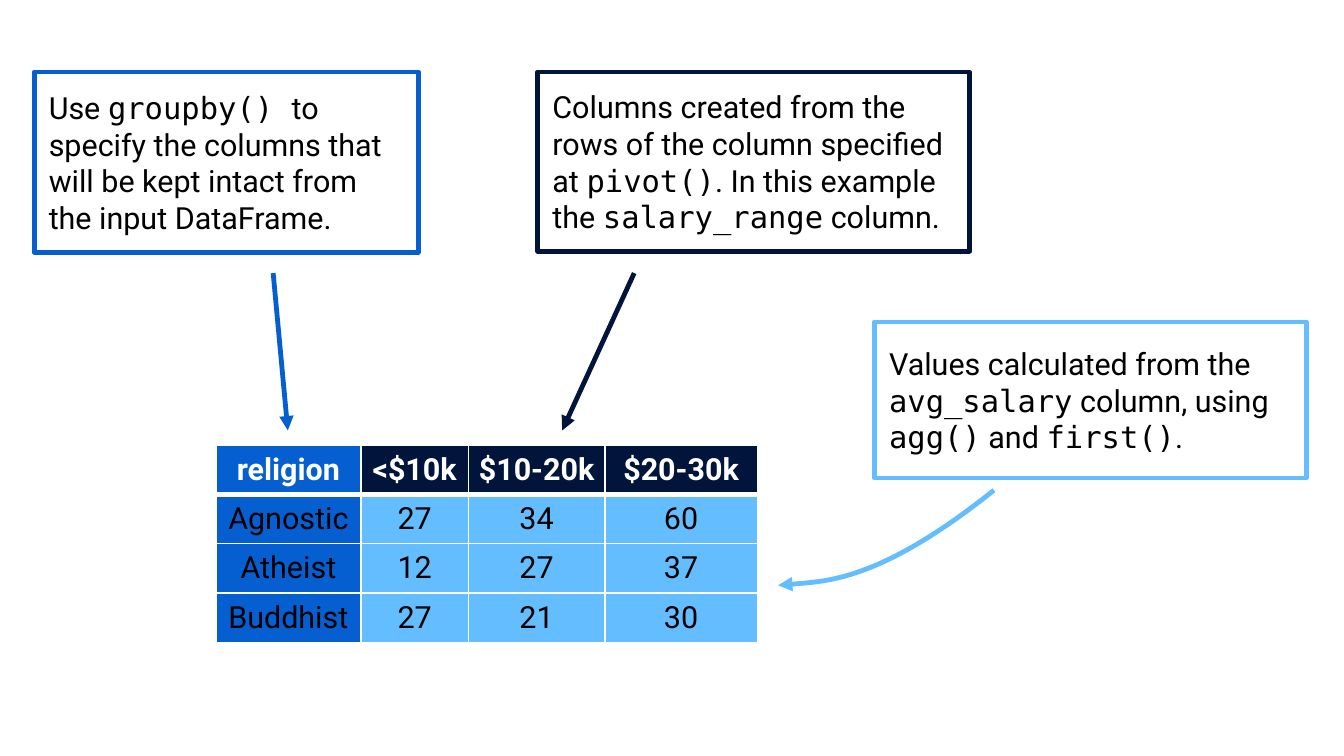
from lxml.etree import SubElement
from pptx import Presentation
from pptx.dml.color import RGBColor
from pptx.enum.shapes import MSO_CONNECTOR, MSO_SHAPE
from pptx.enum.text import MSO_ANCHOR, PP_ALIGN
from pptx.oxml.ns import qn
from pptx.util import Inches, Pt

BLUE, NAVY, SKY = "065FD0", "00143C", "64BDFE"
WHITE, BLACK = "FFFFFF", "000000"
SANS, MONO = "Roboto", "DejaVu Sans Mono"

ROWS = [
    ["religion", "<$10k", "$10-20k", "$20-30k"],
    ["Agnostic", "27", "34", "60"],
    ["Atheist", "12", "27", "37"],
    ["Buddhist", "27", "21", "30"],
]
COL_WIDTHS = [1.19, 0.88, 1.12, 1.25]

GROUPBY_NOTE = [
    ("Use ", SANS),
    ("groupby() ", MONO),
    ("to specify the columns that will be kept intact from the input DataFrame.", SANS),
]
PIVOT_NOTE = [
    ("Columns created from the rows of the column specified at ", SANS),
    ("pivot()", MONO),
    (". In this example the ", SANS),
    ("salary_range", MONO),
    (" column.", SANS),
]
AGG_NOTE = [
    ("Values calculated from the ", SANS),
    ("avg_salary", MONO),
    (" column, using ", SANS),
    ("agg()", MONO),
    (" and ", SANS),
    ("first()", MONO),
    (".", SANS),
]


def rgb(color):
    return RGBColor.from_string(color)


def style_line(sp, color):
    sp.line.color.rgb = rgb(color)
    sp.line.width = Pt(2.83)


def add_arrowhead(sp):
    ln = sp.element.spPr.find(qn("a:ln"))
    SubElement(ln, qn("a:tailEnd"), type="triangle")


def add_note(slide, box, runs, color):
    sp = slide.shapes.add_shape(MSO_SHAPE.RECTANGLE, *map(Inches, box))
    sp.shadow.inherit = False
    sp.fill.background()
    style_line(sp, color)
    tf = sp.text_frame
    tf.word_wrap = True
    tf.vertical_anchor = MSO_ANCHOR.MIDDLE
    tf.margin_left = tf.margin_right = Inches(0.12)
    tf.margin_top = tf.margin_bottom = Inches(0.07)
    p = tf.paragraphs[0]
    p.alignment = PP_ALIGN.LEFT
    p.font.size = Pt(18)
    p.font.color.rgb = rgb(BLACK)
    for text, font in runs:
        r = p.add_run()
        r.text = text
        r.font.name = font


def add_arrow(slide, start, end, color):
    cxn = slide.shapes.add_connector(
        MSO_CONNECTOR.STRAIGHT, *map(Inches, start + end))
    style_line(cxn, color)
    add_arrowhead(cxn)
    SubElement(cxn.element.spPr, qn("a:effectLst"))


def add_curved_arrow(slide, box, color):
    x, y, w, h = map(Inches, box)
    left, right, bottom = x, x + w, y + h
    builder = slide.shapes.build_freeform(right, y)
    builder.add_line_segments(
        [(left + int(w * 0.45), bottom), (left, bottom), (left, bottom)], close=False)
    sp = builder.convert_to_shape()
    sp.shadow.inherit = False
    sp.fill.background()
    style_line(sp, color)
    add_arrowhead(sp)
    path_xml = next(sp.element.iter(qn("a:path")))
    segments = path_xml.findall(qn("a:lnTo"))
    curve = SubElement(path_xml, qn("a:cubicBezTo"))
    for segment in segments:
        curve.append(segment[0])
        path_xml.remove(segment)


def set_borders(cell, top, bottom):
    tc_pr = cell._tc.get_or_add_tcPr()
    for side, width in zip("LRTB", (0.96, 0.96, top, bottom)):
        ln = SubElement(tc_pr, qn(f"a:ln{side}"), w=str(Pt(width)))
        fill = SubElement(ln, qn("a:solidFill"))
        SubElement(fill, qn("a:srgbClr"), val=WHITE)


def add_salary_table(slide, box):
    frame = slide.shapes.add_table(len(ROWS), len(COL_WIDTHS), *map(Inches, box))
    table = frame.table
    for column, width in zip(table.columns, COL_WIDTHS):
        column.width = Inches(width)
    for i, values in enumerate(ROWS):
        header = i == 0
        table.rows[i].height = Inches(box[3] / len(ROWS))
        for j, value in enumerate(values):
            cell = table.cell(i, j)
            set_borders(cell, 3 if i == 1 else 0.96, 3 if header else 0.96)
            cell.fill.solid()
            cell.fill.fore_color.rgb = rgb(BLUE if j == 0 else NAVY if header else SKY)
            cell.vertical_anchor = MSO_ANCHOR.MIDDLE
            cell.margin_left = cell.margin_right = Inches(0.01)
            cell.margin_top = cell.margin_bottom = Inches(0.05)
            p = cell.text_frame.paragraphs[0]
            p.text = value
            p.alignment = PP_ALIGN.CENTER
            p.font.name = SANS
            p.font.size = Pt(18)
            p.font.bold = header
            p.font.color.rgb = rgb(WHITE if header else BLACK)


def add_pivot_slide(prs):
    slide = prs.slides.add_slide(prs.slide_layouts[6])
    add_salary_table(slide, (1.77, 3.65, 4.44, 1.62))
    add_note(slide, (0.28, 0.59, 3.15, 1.48), GROUPBY_NOTE, BLUE)
    add_arrow(slide, (2.24, 2.24), (2.36, 3.53), BLUE)
    add_note(slide, (4.41, 0.59, 3.54, 1.47), PIVOT_NOTE, NAVY)
    add_arrow(slide, (5.2, 2.24), (4.61, 3.53), NAVY)
    add_note(slide, (7.17, 2.64, 3.54, 1.28), AGG_NOTE, SKY)
    add_curved_arrow(slide, (6.38, 4.02, 1.77, 0.78), SKY)


def main():
    prs = Presentation()
    prs.slide_width = Inches(11.02)
    prs.slide_height = Inches(6.2)
    add_pivot_slide(prs)
    prs.save("out.pptx")


if __name__ == "__main__":
    main()
